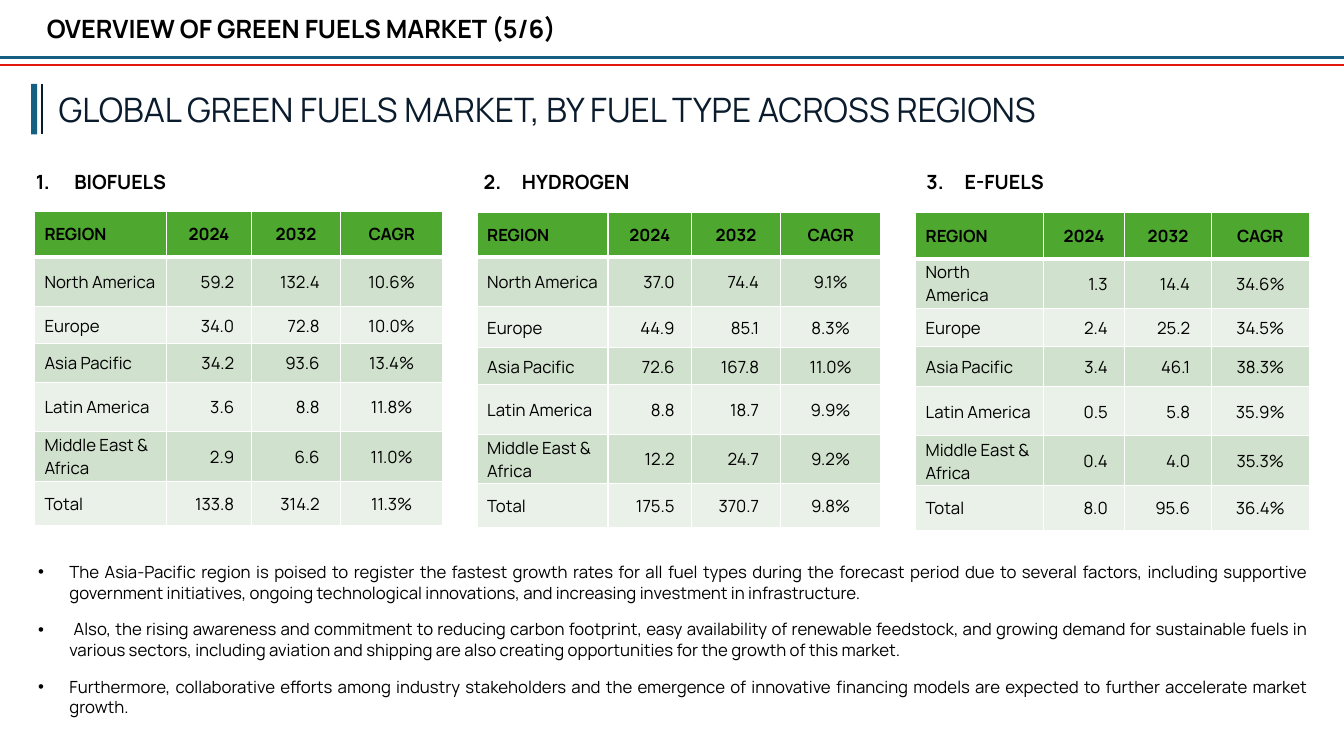
from dataclasses import dataclass

from pptx import Presentation
from pptx import util as u
from pptx.dml.color import RGBColor
from pptx.enum import shapes, text
from pptx.oxml.ns import qn
from lxml import etree

# Slide grid: 160 columns by 90 rows of square cells
WIDTH, HEIGHT = u.Inches(13.33), u.Inches(7.5)
COLUMNS, ROWS = 160, 90


@dataclass(frozen=True)
class Theme:
    font: str = "Manrope"
    black: str = "000000"
    navy: str = "091B2C"
    blue: str = "156082"
    red: str = "E2180D"
    white: str = "FFFFFF"
    header: str = "4EA72E"
    bands: tuple[str, str] = ("D0E1CD", "E9F1E8")
    title: float = 18
    heading: float = 24
    label: float = 14
    body: float = 12
    body_leading: float = 14.4


@dataclass(frozen=True)
class Box:
    col: float
    row: float
    cols: float
    rows: float

    def emu(self) -> tuple[int, int, int, int]:
        return gx(self.col), gy(self.row), gx(self.cols), gy(self.rows)


@dataclass(frozen=True)
class Rule:
    start: tuple[float, float]
    end: tuple[float, float]
    color: str
    weight: float


@dataclass(frozen=True)
class FuelTable:
    name: str
    label_col: float
    col: float
    row: float
    cols: float
    row_heights: tuple[float, ...]
    values: tuple[tuple[str, str, str], ...]


T = Theme()
LEFT, CENTER, RIGHT, JUSTIFY = (text.PP_ALIGN.LEFT, text.PP_ALIGN.CENTER,
                                text.PP_ALIGN.RIGHT, text.PP_ALIGN.JUSTIFY)
HEADERS = ("REGION", "2024", "2032", "CAGR")
REGIONS = ("North America", "Europe", "Asia Pacific", "Latin America",
           "Middle East & Africa", "Total")
COLUMN_WEIGHTS = (130, 83, 88, 100)
# Alignment, left inset and right inset of each body column, in inches
COLUMN_FORMATS = ((LEFT, 0.1, 0.09), (RIGHT, 0.01, 0.17),
                  (RIGHT, 0.01, 0.21), (CENTER, 0.01, 0.01))

FUELS = (
    FuelTable("BIOFUELS", 3.1, 4.1, 25.2, 48.6,
              (5.4, 5.9, 4.4, 4.6, 5.9, 5.9, 5.3),
              (("59.2", "132.4", "10.6%"), ("34.0", "72.8", "10.0%"),
               ("34.2", "93.6", "13.4%"), ("3.6", "8.8", "11.8%"),
               ("2.9", "6.6", "11.0%"), ("133.8", "314.2", "11.3%"))),
    FuelTable("HYDROGEN", 56.4, 56.8, 25.3, 48.1,
              (5.3, 5.9, 4.9, 4.4, 5.9, 5.9, 5.2),
              (("37.0", "74.4", "9.1%"), ("44.9", "85.1", "8.3%"),
               ("72.6", "167.8", "11.0%"), ("8.8", "18.7", "9.9%"),
               ("12.2", "24.7", "9.2%"), ("175.5", "370.7", "9.8%"))),
    FuelTable("E-FUELS", 109.1, 109, 25.3, 46.9,
              (5.5, 5.9, 4.6, 4.7, 5.9, 5.9, 5.4),
              (("1.3", "14.4", "34.6%"), ("2.4", "25.2", "34.5%"),
               ("3.4", "46.1", "38.3%"), ("0.5", "5.8", "35.9%"),
               ("0.4", "4.0", "35.3%"), ("8.0", "95.6", "36.4%"))),
)

BULLETS = (
    "The Asia-Pacific region is poised to register the fastest growth rates for all fuel types during the forecast period due to several factors, including supportive government initiatives, ongoing technological innovations, and increasing investment in infrastructure.",
    " Also, the rising awareness and commitment to reducing carbon footprint, easy availability of renewable feedstock, and growing demand for sustainable fuels in various sectors, including aviation and shipping are also creating opportunities for the growth of this market.",
    "Furthermore, collaborative efforts among industry stakeholders and the emergence of innovative financing models are expected to further accelerate market growth.",
)


def gx(cols: float) -> int:
    return round(WIDTH * cols / COLUMNS)


def gy(rows: float) -> int:
    return round(HEIGHT * rows / ROWS)


def add_run(p, words: str, size: float, color: str = T.black, bold: bool = False) -> None:
    r = p.add_run()
    r.text = words
    r.font.name, r.font.size, r.font.bold = T.font, u.Pt(size), bold
    r.font.color.rgb = RGBColor.from_string(color)


def add_text_frame(s, box: Box, anchor=text.MSO_ANCHOR.TOP):
    tf = s.shapes.add_textbox(*box.emu()).text_frame
    tf.word_wrap = True
    tf.auto_size = text.MSO_AUTO_SIZE.SHAPE_TO_FIT_TEXT
    tf.vertical_anchor = anchor
    return tf


def set_marker(p, margin: float, hang: float, tag: str, **attributes: str) -> None:
    props = p._p.get_or_add_pPr()
    props.set("marL", str(u.Inches(margin)))
    props.set("indent", str(-u.Inches(hang)))
    if tag == "a:buChar":
        etree.SubElement(props, qn("a:buFont")).set("typeface", "Arial")
    etree.SubElement(props, qn(tag), attributes)


def add_rule(parent, rule: Rule) -> None:
    line = parent.add_connector(shapes.MSO_CONNECTOR.STRAIGHT,
                                gx(rule.start[0]), gy(rule.start[1]),
                                gx(rule.end[0]), gy(rule.end[1]))
    line.line.color.rgb = RGBColor.from_string(rule.color)
    line.line.width = u.Pt(rule.weight)
    etree.SubElement(line._element.spPr, qn("a:effectLst"))


def fill_cell(cell, words: str, fill: str, align, bold: bool, bottom: float) -> None:
    props = cell._tc.get_or_add_tcPr()
    for side in "LRTB":
        weight = bottom if side == "B" else 1
        ln = etree.SubElement(props, qn(f"a:ln{side}"), w=str(u.Pt(weight)))
        solid = etree.SubElement(ln, qn("a:solidFill"))
        etree.SubElement(solid, qn("a:srgbClr"), val=T.white)
    cell.fill.solid()
    cell.fill.fore_color.rgb = RGBColor.from_string(fill)
    cell.vertical_anchor = text.MSO_ANCHOR.MIDDLE
    p = cell.text_frame.paragraphs[0]
    p.alignment = align
    add_run(p, words, T.body, bold=bold)


def add_fuel(s, number: int, fuel: FuelTable) -> None:
    # Table
    box = Box(fuel.col, fuel.row, fuel.cols, sum(fuel.row_heights))
    table = s.shapes.add_table(len(REGIONS) + 1, len(HEADERS), *box.emu()).table
    table.horz_banding = False
    for column, weight in zip(table.columns, COLUMN_WEIGHTS):
        column.width = gx(fuel.cols * weight / sum(COLUMN_WEIGHTS))
    for row, height in zip(table.rows, fuel.row_heights):
        row.height = gy(height)
    for c, (align, left, right) in enumerate(COLUMN_FORMATS):
        fill_cell(table.cell(0, c), HEADERS[c], T.header, CENTER if c else LEFT, True, 3)
        for i, region in enumerate(REGIONS):
            cell = table.cell(i + 1, c)
            cell.margin_left, cell.margin_right = u.Inches(left), u.Inches(right)
            cell.margin_top, cell.margin_bottom = u.Inches(0.01), 0
            fill_cell(cell, (region, *fuel.values[i])[c], T.bands[i % 2], align, False, 1)
    # Numbered label
    p = add_text_frame(s, Box(fuel.label_col, 19.6, 39.2, 4.1)).paragraphs[0]
    set_marker(p, 0.38, 0.38, "a:buAutoNum", type="arabicPeriod", startAt=str(number))
    add_run(p, fuel.name, T.label, bold=True)


def main() -> None:
    prs = Presentation()
    prs.slide_width, prs.slide_height = WIDTH, HEIGHT
    s = prs.slides.add_slide(prs.slide_layouts[6])

    # Titles
    p = add_text_frame(s, Box(4.4, 1, 150.5, 4.8)).paragraphs[0]
    add_run(p, "OVERVIEW OF GREEN FUELS MARKET (5/6)", T.title, bold=True)
    p = add_text_frame(s, Box(5.8, 10, 127.4, 6)).paragraphs[0]
    add_run(p, "GLOBAL GREEN FUELS MARKET, BY FUEL TYPE ACROSS REGIONS", T.heading, T.navy)

    # Header rules and heading accent
    add_rule(s.shapes, Rule((0, 6.85), (COLUMNS, 6.85), T.blue, 2.25))
    add_rule(s.shapes, Rule((0, 7.75), (COLUMNS, 7.75), T.red, 1.5))
    accent = s.shapes.add_group_shape().shapes
    sp = accent.add_shape(shapes.MSO_SHAPE.RECTANGLE, *Box(3.7, 10, 0.72, 6).emu())
    sp.shadow.inherit = False
    sp.fill.solid()
    sp.fill.fore_color.rgb = RGBColor.from_string(T.blue)
    sp.line.fill.background()
    add_rule(accent, Rule((5, 10), (5, 16), T.navy, 1.5))

    # Commentary
    tf = add_text_frame(s, Box(0, 66.1, 157, 19.8), text.MSO_ANCHOR.BOTTOM)
    for i, words in enumerate(BULLETS):
        p = tf.add_paragraph() if i else tf.paragraphs[0]
        p.alignment = JUSTIFY
        p.line_spacing, p.space_after = u.Pt(T.body_leading), u.Pt(12)
        set_marker(p, 0.59, 0.31, "a:buChar", char="•")
        add_run(p, words, T.body)

    # Fuel tables
    for number, fuel in enumerate(FUELS, start=1):
        add_fuel(s, number, fuel)

    prs.save("out.pptx")


if __name__ == "__main__":
    main()
